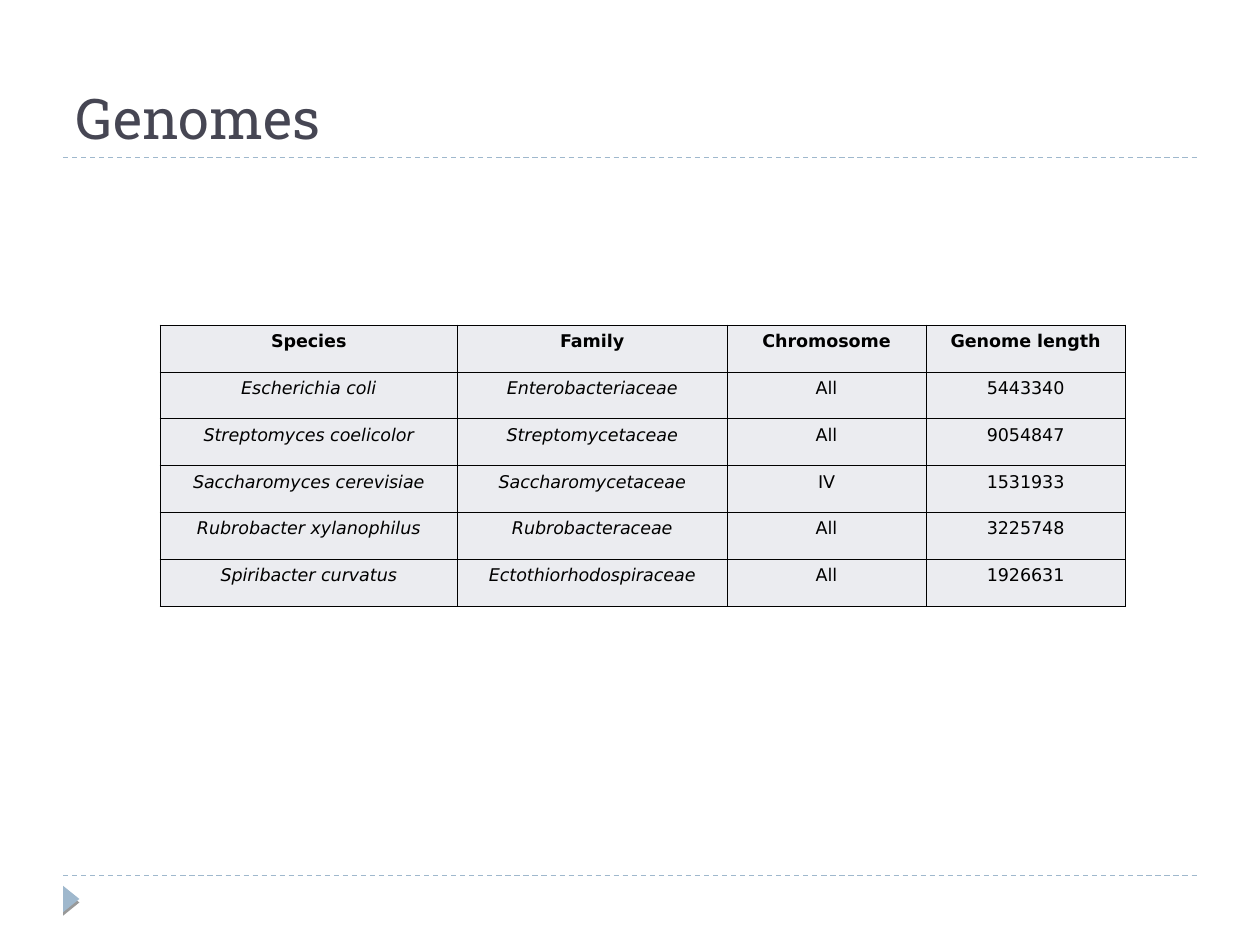
from typing import NamedTuple

from lxml.etree import SubElement as Sub
from pptx import Presentation
from pptx.dml.color import RGBColor
from pptx.enum.dml import MSO_LINE as Dash
from pptx.enum.shapes import MSO_CONNECTOR as Link, MSO_SHAPE as Kind
from pptx.enum.text import MSO_ANCHOR as Anchor, PP_ALIGN as Align
from pptx.oxml import parse_xml
from pptx.oxml.ns import nsdecls, qn
from pptx.util import Inches, Pt

INK = RGBColor(0x46, 0x46, 0x53)
BLUE = RGBColor(0x9F, 0xB8, 0xCD)
PALE = RGBColor(0xEB, 0xEC, 0xF0)
BLACK = RGBColor(0, 0, 0)


class Genome(NamedTuple):
    species: str
    family: str
    part: str
    length: str


HEAD = Genome("Species", "Family", "Chromosome", "Genome length")
GENOMES = [
    Genome("Escherichia coli", "Enterobacteriaceae", "All", "5443340"),
    Genome("Streptomyces coelicolor", "Streptomycetaceae", "All", "9054847"),
    Genome("Saccharomyces cerevisiae", "Saccharomycetaceae", "IV", "1531933"),
    Genome("Rubrobacter xylanophilus", "Rubrobacteraceae", "All", "3225748"),
    Genome("Spiribacter curvatus", "Ectothiorhodospiraceae", "All", "1926631"),
]
WIDTHS = (2.36, 2.14, 1.58, 1.58)
ROW = 0.372


def add_rule(slide, y: float) -> None:
    rule = slide.shapes.add_connector(
        Link.STRAIGHT, Inches(0.5), Inches(y), Inches(9.5), Inches(y))
    rule.line.color.rgb = BLUE
    rule.line.width = Pt(0.75)
    rule.line.dash_style = Dash.DASH
    Sub(rule._element.spPr, qn("a:effectLst"))


def add_mark(slide) -> None:
    mark = slide.shapes.add_shape(
        Kind.ISOSCELES_TRIANGLE, Inches(0.46), Inches(7.07), Inches(0.21), Inches(0.13))
    mark.rotation = 90
    mark.fill.solid()
    mark.fill.fore_color.rgb = BLUE
    mark.line.fill.background()
    mark._element.spPr.append(parse_xml(
        f'<a:effectLst {nsdecls("a")}>'
        f'<a:outerShdw dist="{Pt(2)}" dir="5400000" rotWithShape="0">'
        '<a:srgbClr val="000000"><a:alpha val="40000"/></a:srgbClr>'
        '</a:outerShdw></a:effectLst>'))


def set_title(slide, text: str) -> None:
    title = slide.shapes.title
    title.left, title.top = Inches(0.5), Inches(0.17)
    title.width, title.height = Inches(9), Inches(1.08)
    frame = title.text_frame
    frame.text = text
    frame.vertical_anchor = Anchor.BOTTOM
    line = frame.paragraphs[0]
    line.alignment = Align.LEFT
    font = line.runs[0].font
    font.name, font.size = "Roboto Slab", Pt(32)
    font.color.rgb = INK


def add_edges(cell) -> None:
    props = cell._tc.get_or_add_tcPr()
    for spot, side in enumerate(("lnL", "lnR", "lnT", "lnB")):
        props.insert(spot, parse_xml(
            f'<a:{side} {nsdecls("a")} w="{Pt(0.5)}"><a:solidFill>'
            f'<a:srgbClr val="{BLACK}"/></a:solidFill></a:{side}>'))


def set_cell(cell, text: str, bold: bool, slant: bool) -> None:
    cell.margin_left = cell.margin_right = Inches(0.01)
    cell.margin_top = cell.margin_bottom = Inches(0.05)
    cell.vertical_anchor = Anchor.TOP
    cell.fill.solid()
    cell.fill.fore_color.rgb = PALE
    add_edges(cell)
    cell.text_frame.text = text
    line = cell.text_frame.paragraphs[0]
    line.alignment = Align.CENTER
    font = line.runs[0].font
    font.name, font.size = "DejaVu Sans", Pt(10)
    font.bold, font.italic = bold, slant
    font.color.rgb = BLACK


def add_grid(slide, rows: list[Genome]) -> None:
    table = slide.shapes.add_table(
        len(rows), len(WIDTHS), Inches(1.27), Inches(2.58),
        Inches(sum(WIDTHS)), Inches(ROW * len(rows))).table
    table.horz_banding = False
    for col, width in zip(table.columns, WIDTHS):
        col.width = Inches(width)
    for r, genome in enumerate(rows):
        table.rows[r].height = Inches(ROW)
        for c, text in enumerate(genome):
            set_cell(table.cell(r, c), text, bold=r == 0, slant=r > 0 and c < 2)


def main() -> None:
    deck = Presentation()
    deck.slide_width, deck.slide_height = Inches(10), Inches(7.5)
    slide = deck.slides.add_slide(deck.slide_layouts[5])
    for y in (6.95, 1.25):
        add_rule(slide, y)
    add_mark(slide)
    set_title(slide, "Genomes")
    add_grid(slide, [HEAD, *GENOMES])
    deck.save("out.pptx")


if __name__ == "__main__":
    main()
